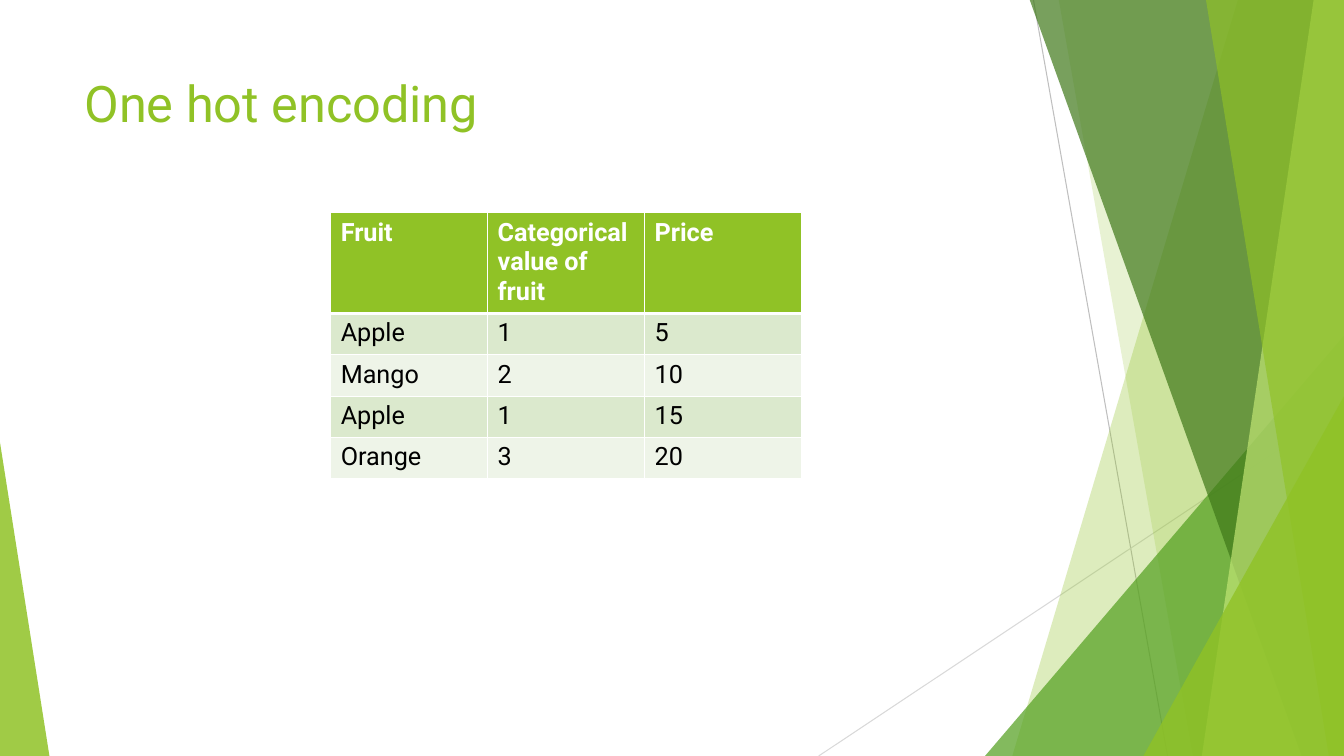
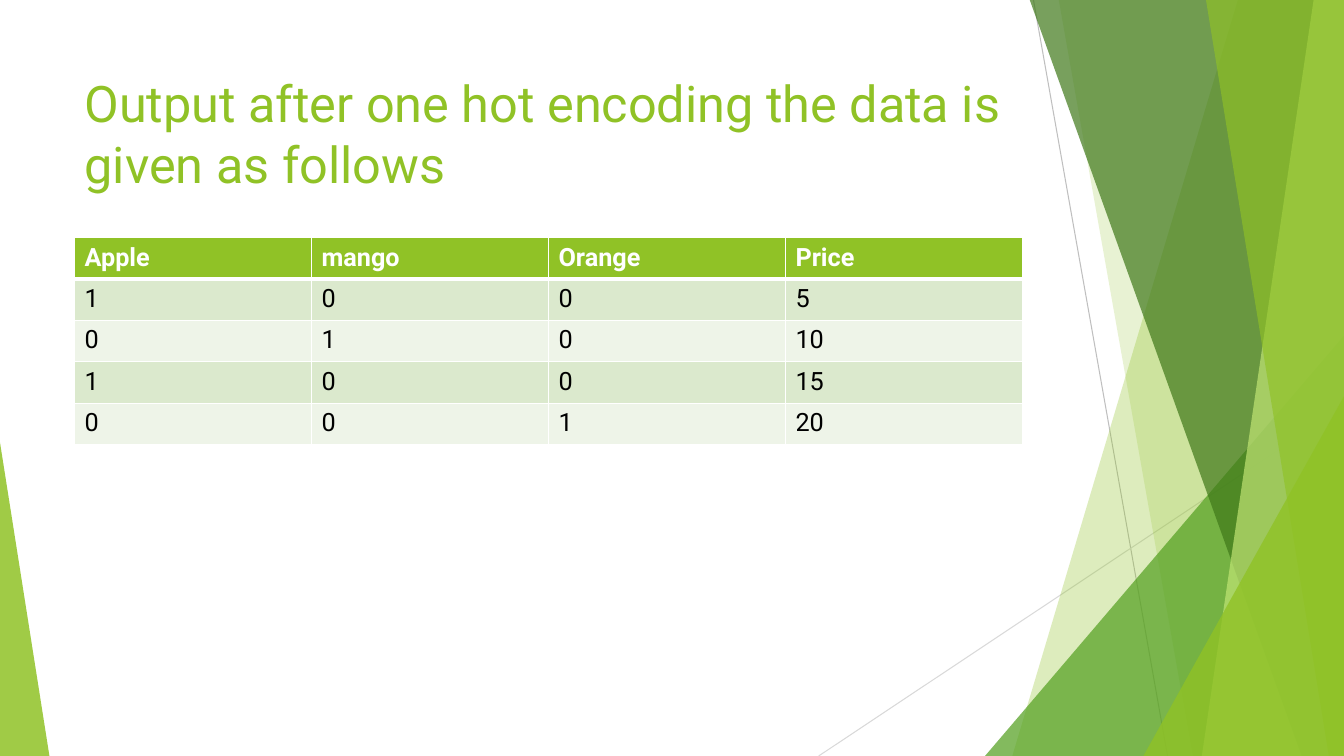
from lxml import etree
from pptx import Presentation
from pptx.dml.color import RGBColor
from pptx.enum import shapes, text
from pptx.oxml import ns
from pptx.util import Inches, Pt

GREEN = RGBColor(0x90, 0xC2, 0x26)
LEAF = RGBColor(0x54, 0xA0, 0x21)
FOREST = RGBColor(0x3F, 0x78, 0x19)
LIME = RGBColor(0xC0, 0xE4, 0x74)
WHITE = RGBColor(0xFF, 0xFF, 0xFF)
BLACK = RGBColor(0x00, 0x00, 0x00)
STRIPES = [RGBColor(0xEE, 0xF4, 0xE8), RGBColor(0xDB, 0xE9, 0xCD)]
SILVER = RGBColor(0xBF, 0xBF, 0xBF)
PALE_GREY = RGBColor(0xD9, 0xD9, 0xD9)
FONT = "Roboto"
WIDTH, HEIGHT, BAND_TOP = 13.33, 7.5, -0.01
ROW_HEIGHT = 0.41

RAYS = [
    ((10.25, 0), (11.58, HEIGHT), SILVER),
    ((WIDTH, 4.03), (8.12, HEIGHT), PALE_GREY),
]
# Bands give top and bottom x; triangles give left, top, width and apex.
FACETS = [
    ("band", (12.28, 10.04), GREEN, 30),
    ("band", (10.5, 11.83), GREEN, 20),
    ("triangle", (9.77, 3.33, 3.56, 1), LEAF, 72),
    ("band", (10.21, 12.91), FOREST, 70),
    ("band", (13.03, 11.92), LIME, 70),
    ("band", (11.96, 13.18), GREEN, 65),
    ("triangle", (11.34, 3.93, 1.99, 1), GREEN, 80),
    ("triangle", (0, 4.39, 0.49, 0), GREEN, 85),
]
SLIDES = [
    ("One hot encoding", (3.28, 2.11, 4.67), [
        ("Fruit", "Categorical value of fruit", "Price"),
        ("Apple", "1", "5"),
        ("Mango", "2", "10"),
        ("Apple", "1", "15"),
        ("Orange", "3", "20"),
    ]),
    ("Output after one hot encoding the data is given as follows", (0.74, 2.36, 9.4), [
        ("Apple", "mango", "Orange", "Price"),
        ("1", "0", "0", "5"),
        ("0", "1", "0", "10"),
        ("1", "0", "0", "15"),
        ("0", "0", "1", "20"),
    ]),
]


def draw_backdrop(page):
    for start, end, color in RAYS:
        ray = page.shapes.add_connector(
            shapes.MSO_CONNECTOR.STRAIGHT, *map(Inches, start + end))
        ray.line.color.rgb = color
        ray.line.width = Pt(0.75)
        etree.SubElement(ray.element.spPr, ns.qn("a:effectLst"))
    for kind, geometry, color, opacity in FACETS:
        if kind == "band":
            top_x, bottom_x = geometry
            outline = page.shapes.build_freeform(
                Inches(top_x), Inches(BAND_TOP))
            corners = [(WIDTH, BAND_TOP), (WIDTH, HEIGHT), (bottom_x, HEIGHT)]
            outline.add_line_segments(
                [(Inches(x), Inches(y)) for x, y in corners], close=True)
            facet = outline.convert_to_shape()
        else:
            left, top, width, apex = geometry
            facet = page.shapes.add_shape(
                shapes.MSO_SHAPE.ISOSCELES_TRIANGLE, Inches(left), Inches(top),
                Inches(width), Inches(HEIGHT - top))
            facet.adjustments[0] = apex
        facet.shadow.inherit = False
        facet.line.fill.background()
        facet.fill.solid()
        facet.fill.fore_color.rgb = color
        tint = facet.element.spPr.find(ns.qn("a:solidFill"))[0]
        etree.SubElement(tint, ns.qn("a:alpha"), val=str(opacity * 1000))


def add_borders(cell):
    properties = cell._tc.get_or_add_tcPr()
    for side, points in (("L", 1), ("R", 1), ("T", 1), ("B", 3)):
        border = etree.SubElement(
            properties, ns.qn("a:ln" + side), w=str(Pt(points)))
        fill = etree.SubElement(border, ns.qn("a:solidFill"))
        etree.SubElement(fill, ns.qn("a:srgbClr"), val=str(WHITE))


deck = Presentation()
deck.slide_width, deck.slide_height = Inches(WIDTH), Inches(HEIGHT)

for heading, (left, top, width), rows in SLIDES:
    page = deck.slides.add_slide(deck.slide_layouts[6])
    draw_backdrop(page)

    title = page.shapes.add_textbox(
        Inches(0.74), Inches(0.67), Inches(9.4), Inches(1.44))
    title.text_frame.word_wrap = True
    title.text_frame.vertical_anchor = text.MSO_ANCHOR.TOP
    para = title.text_frame.paragraphs[0]
    para.text = heading
    para.font.name, para.font.size = FONT, Pt(36)
    para.font.color.rgb = GREEN

    table = page.shapes.add_table(
        len(rows), len(rows[0]), Inches(left), Inches(top),
        Inches(width), Inches(ROW_HEIGHT * len(rows))).table
    for row_index, row in enumerate(rows):
        is_header = row_index == 0
        for column_index, value in enumerate(row):
            cell = table.cell(row_index, column_index)
            if is_header:
                add_borders(cell)
            cell.fill.solid()
            cell.fill.fore_color.rgb = GREEN if is_header else STRIPES[row_index % 2]
            para = cell.text_frame.paragraphs[0]
            para.text = value
            para.font.name, para.font.size = FONT, Pt(18)
            para.font.bold = is_header
            para.font.color.rgb = WHITE if is_header else BLACK

deck.save("out.pptx")
